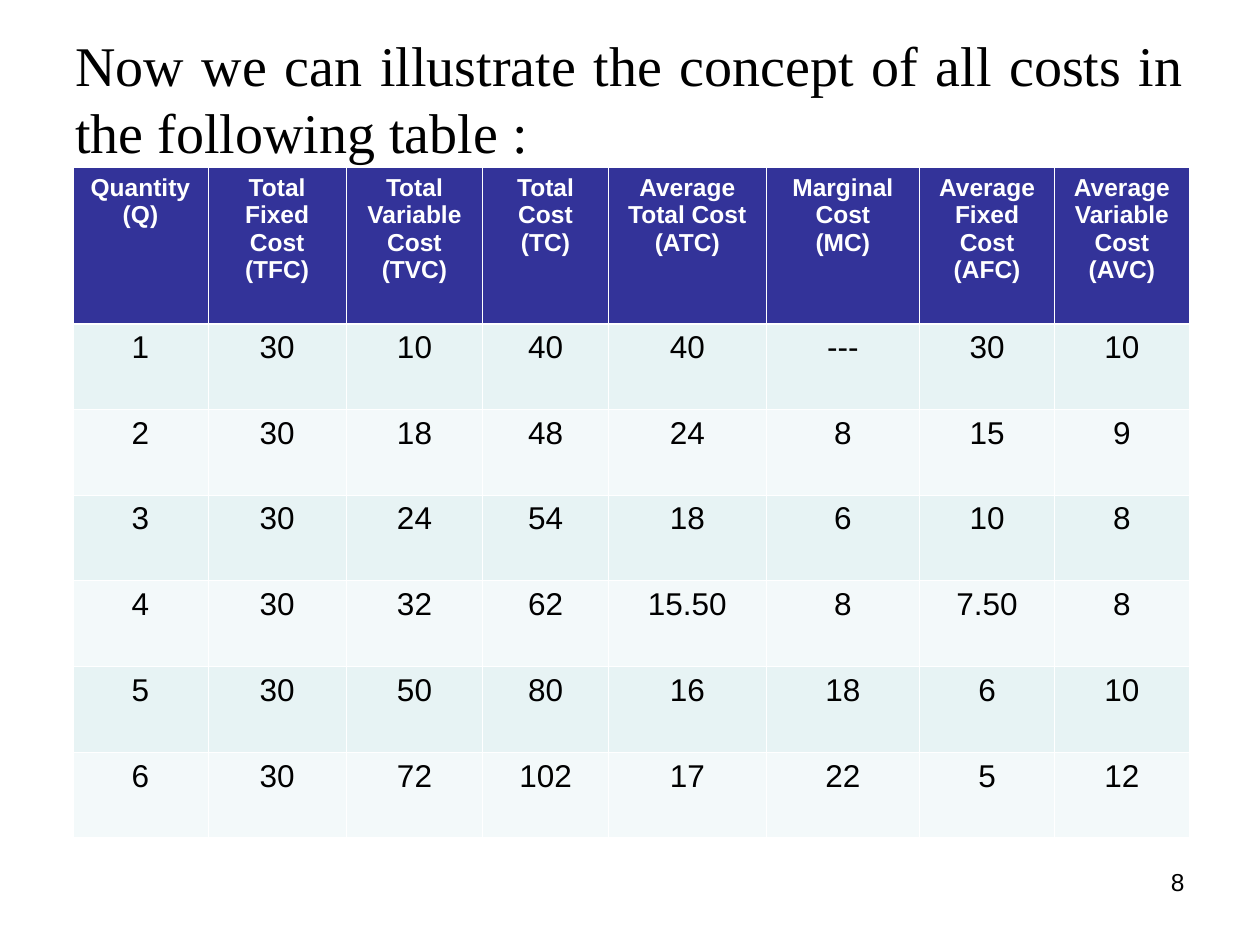
from pptx import Presentation, util as u
from pptx.dml.color import RGBColor
from pptx.enum import text
from pptx.oxml import parse_xml
from pptx.oxml.ns import nsdecls

COLORS = {"head": "333399", "odd": "E7F3F4", "even": "F3F9FA",
          "white": "FFFFFF", "black": "000000"}
WIDTHS = [1.07, 1.1, 1.08, 1, 1.25, 1.22, 1.07, 1.07]
HEADS = ["Quantity\n(Q)", "Total Fixed Cost\n(TFC)",
         "Total Variable Cost\n(TVC)", "Total Cost\n(TC)",
         "Average Total Cost (ATC)", "Marginal Cost\n(MC)",
         "Average Fixed Cost\n(AFC)", "Average Variable Cost (AVC)"]
COSTS = [
    ["1", "30", "10", "40", "40", "---", "30", "10"],
    ["2", "30", "18", "48", "24", "8", "15", "9"],
    ["3", "30", "24", "54", "18", "6", "10", "8"],
    ["4", "30", "32", "62", "15.50", "8", "7.50", "8"],
    ["5", "30", "50", "80", "16", "18", "6", "10"],
    ["6", "30", "72", "102", "17", "22", "5", "12"],
]


def write(frame, words, size, color, align, face="Arial", bold=False):
    frame.text = words
    for para in frame.paragraphs:
        para.alignment = align
        for run in para.runs:
            font = run.font
            font.name = face
            font.size = u.Pt(size)
            font.bold = bold
            font.color.rgb = RGBColor.from_string(COLORS[color])


def add_text(slide, box, words, size, align, face="Arial",
             anchor=text.MSO_ANCHOR.TOP):
    frame = slide.shapes.add_textbox(*map(u.Inches, box)).text_frame
    frame.word_wrap = True
    frame.vertical_anchor = anchor
    write(frame, words, size, "black", align, face)


def add_edges(cell, row):
    props = cell._tc.get_or_add_tcPr()
    thick = {0: "lnB", 1: "lnT"}.get(row)
    for spot, tag in enumerate(["lnL", "lnR", "lnT", "lnB"]):
        width = u.Pt(1.47 if tag == thick else 0.45)
        line = parse_xml(
            f'<a:{tag} {nsdecls("a")} w="{width}"><a:solidFill>'
            f'<a:srgbClr val="{COLORS["white"]}"/></a:solidFill></a:{tag}>')
        props.insert(spot, line)


def add_costs(slide, box):
    rows = [HEADS] + COSTS
    table = slide.shapes.add_table(
        len(rows), len(HEADS), *map(u.Inches, box)).table
    for col, width in zip(table.columns, WIDTHS):
        col.width = u.Inches(width)
    for r, row in enumerate(rows):
        head = r == 0
        table.rows[r].height = u.Inches(1.24 if head else 0.68)
        fill = "head" if head else "odd" if r % 2 else "even"
        for c, words in enumerate(row):
            cell = table.cell(r, c)
            cell.fill.solid()
            cell.fill.fore_color.rgb = RGBColor.from_string(COLORS[fill])
            write(cell.text_frame, words, 14 if head else 18,
                  "white" if head else "black", text.PP_ALIGN.CENTER,
                  bold=head)
            add_edges(cell, r)


def main():
    deck = Presentation()
    deck.slide_width = u.Inches(10)
    deck.slide_height = u.Inches(7.5)
    slide = deck.slides.add_slide(deck.slide_layouts[6])
    add_text(slide, (0.5, 0.3, 9, 0.95),
             "Now we can illustrate the concept of all costs in "
             "the following table :", 32, text.PP_ALIGN.JUSTIFY,
             "Times New Roman", text.MSO_ANCHOR.MIDDLE)
    add_costs(slide, (0.58, 1.33, 8.86, 5.33))
    add_text(slide, (7.17, 6.83, 2.33, 0.52), "8", 14, text.PP_ALIGN.RIGHT)
    deck.save("out.pptx")


if __name__ == "__main__":
    main()
